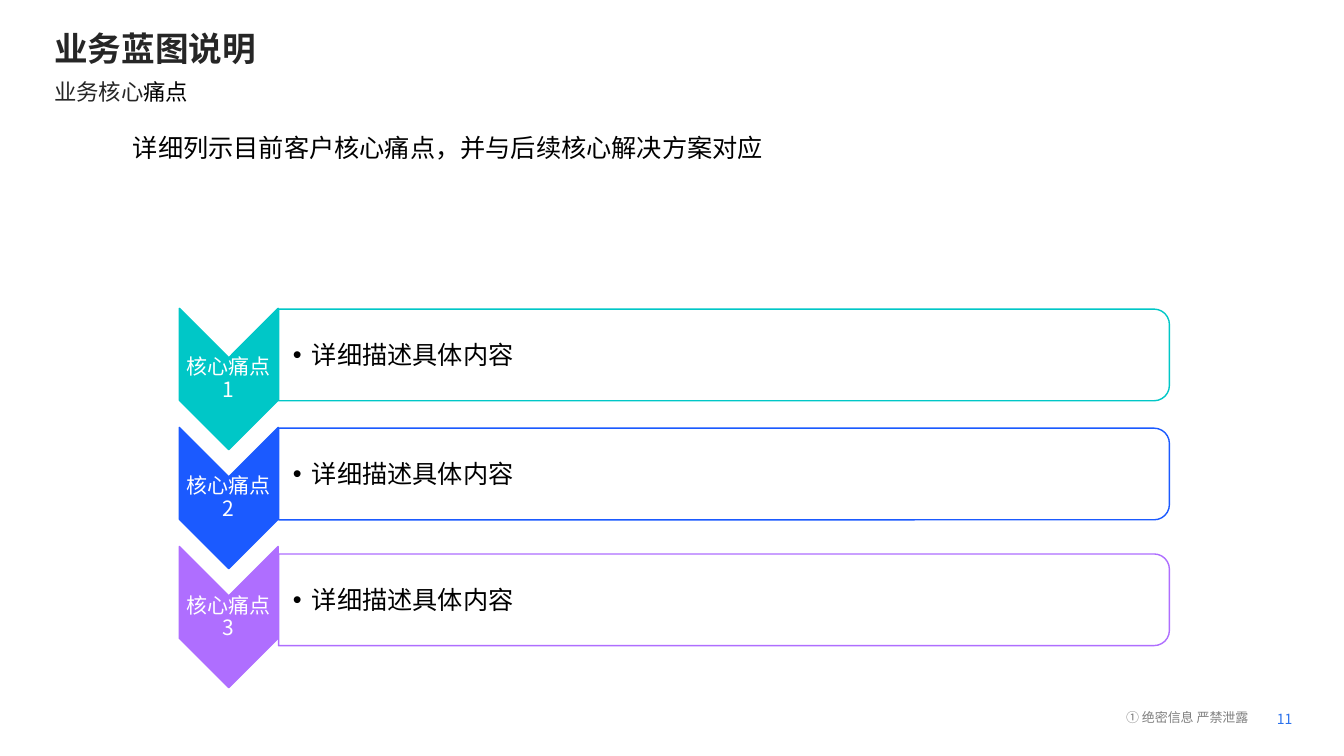
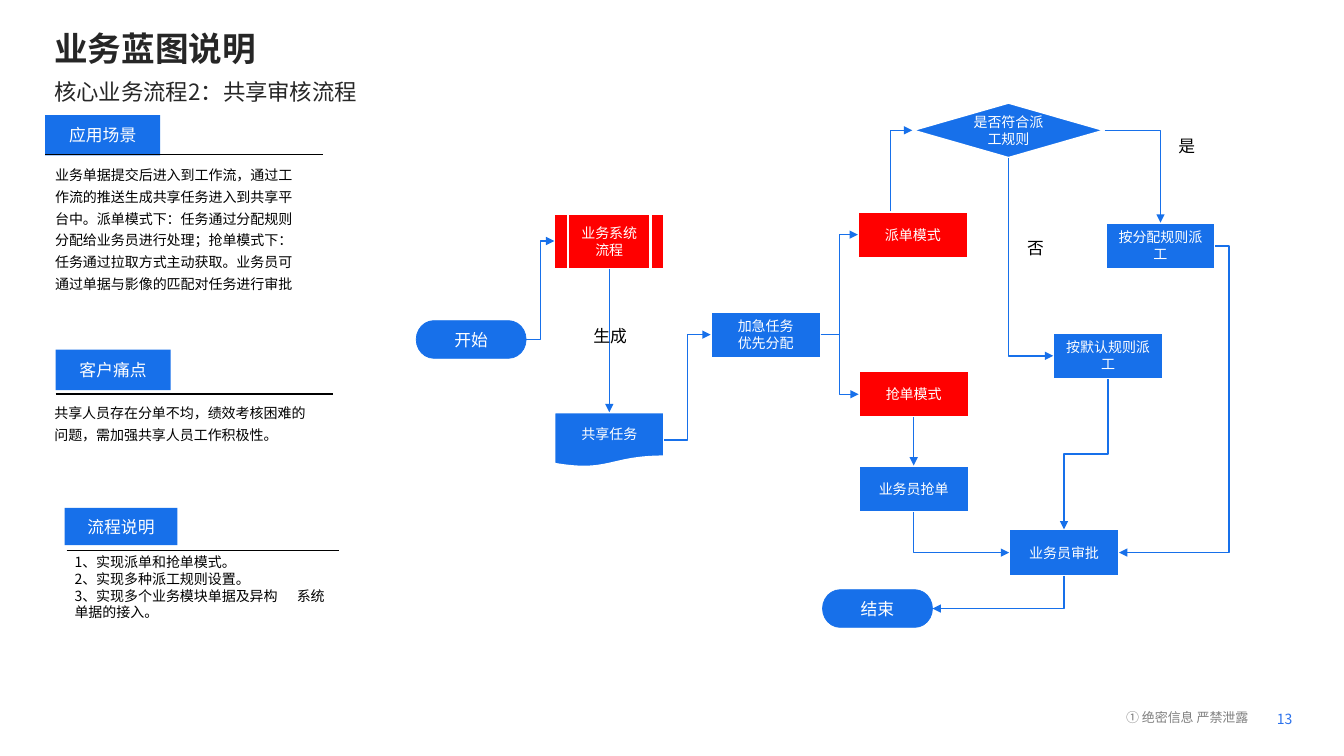
"""Build two business blueprint slides: core pain points and the shared review process."""
import pptx
import pptx.dml.color
import pptx.enum.shapes
import pptx.enum.text
import pptx.oxml
import pptx.oxml.ns
import pptx.util

Cm = pptx.util.Cm
Pt = pptx.util.Pt
qn = pptx.oxml.ns.qn
SHAPE = pptx.enum.shapes.MSO_SHAPE
CONNECTOR = pptx.enum.shapes.MSO_CONNECTOR
ALIGN = pptx.enum.text.PP_ALIGN
ANCHOR = pptx.enum.text.MSO_ANCHOR
TOP, LEFT, BOTTOM, RIGHT = range(4)


class Deck:
    COLORS = {
        "title": "262626", "text": "000000", "white": "FFFFFF",
        "muted": "808080", "page": "2A71EC", "blue": "1770EA",
        "red": "FF0000", "teal": "00C7C7", "royal": "1B5AFF",
        "violet": "AF6EFF",
    }
    FONT = "Noto Sans CJK SC"
    LEADING = 1.2

    def __init__(self):
        self.prs = pptx.Presentation()
        self.prs.slide_width = Cm(33.87)
        self.prs.slide_height = Cm(19.05)
        self.slide = None

    def color(self, name):
        return pptx.dml.color.RGBColor.from_string(self.COLORS[name])

    def new_slide(self, title, subtitle, page, accent=""):
        self.slide = self.prs.slides.add_slide(self.prs.slide_layouts[6])
        self.text((32.18, 17.91, 0.58, 0.43), page, 10, "page",
                  inset=(0, 0), anchor=ANCHOR.MIDDLE, wrap=False)
        self.text((28.35, 17.83, 3.38, 0.48), "① 绝密信息 严禁泄露", 9.3, "muted",
                  inset=(0.03, 0.03), anchor=ANCHOR.MIDDLE, wrap=False)
        self.text((1.12, 0.58, 26.92, 1.3), title, 24, "title", bold=True)
        self.text((1.12, 1.91, 21.64, 0.79), subtitle, 16, "title",
                  spacing=0.9, accent=accent)

    def set_text(self, frame, text, size, color, bold=None, align=ALIGN.LEFT,
                 anchor=ANCHOR.TOP, spacing=1, inset=(0.25, 0.13), wrap=True,
                 accent="", latin=FONT, bullet=False, tab=None):
        across, down = (Cm(value) for value in inset)
        layout = {
            "word_wrap": wrap, "vertical_anchor": anchor,
            "margin_left": across, "margin_right": across,
            "margin_top": down, "margin_bottom": down,
        }
        for name, value in layout.items():
            setattr(frame, name, value)
        for index, line in enumerate(text.split("\n")):
            paragraph = frame.add_paragraph() if index else frame.paragraphs[0]
            if bullet:
                self.add_bullet(paragraph)
            if tab:
                self.add_tab(paragraph, tab)
            paragraph.alignment = align
            paragraph.line_spacing = Pt(round(size * self.LEADING * spacing, 1))
            for words, ink in ((line, color), (accent, "text")):
                if words:
                    run = paragraph.add_run()
                    run.text = words
                    self.style(run, size, ink, bold, latin)

    def style(self, run, size, color, bold, latin):
        for name, value in {"size": Pt(size), "bold": bold, "name": latin}.items():
            setattr(run.font, name, value)
        run.font.color.rgb = self.color(color)
        east_asian = pptx.oxml.parse_xml(
            f'<a:ea {pptx.oxml.ns.nsdecls("a")} typeface="{self.FONT}"/>')
        run._r.get_or_add_rPr().find(qn("a:latin")).addnext(east_asian)

    def add_bullet(self, paragraph):
        properties = paragraph._p.get_or_add_pPr()
        properties.set("marL", str(Cm(0.48)))
        properties.set("indent", str(-Cm(0.48)))
        ns = pptx.oxml.ns.nsdecls("a")
        for xml in (f'<a:buFont {ns} typeface="Arial"/>', f'<a:buChar {ns} char="•"/>'):
            properties.append(pptx.oxml.parse_xml(xml))

    def add_tab(self, paragraph, position):
        ns = pptx.oxml.ns.nsdecls("a")
        paragraph._p.get_or_add_pPr().append(pptx.oxml.parse_xml(
            f'<a:tabLst {ns}><a:tab pos="{Cm(position)}" algn="l"/></a:tabLst>'))

    def text(self, box, text, size, color="text", **options):
        area = self.slide.shapes.add_textbox(*(Cm(value) for value in box))
        self.set_text(area.text_frame, text, size, color, **options)

    def shape(self, kind, box, fill, line=None, width=1, text="", size=10):
        shape = self.slide.shapes.add_shape(kind, *(Cm(value) for value in box))
        shape.shadow.inherit = False
        shape.fill.solid()
        shape.fill.fore_color.rgb = self.color(fill)
        if line:
            shape.line.color.rgb = self.color(line)
            shape.line.width = Pt(width)
        else:
            shape.line.fill.background()
        if text:
            self.set_text(shape.text_frame, text, size, "white",
                          align=ALIGN.CENTER, anchor=ANCHOR.MIDDLE)
        return shape

    def quarter_turn(self, kind, box, fill, line):
        left, top, width, height = box
        shift = (width - height) / 2
        shape = self.shape(kind, (left + shift, top - shift, height, width), fill, line)
        shape.rotation = 90

    def node(self, text, left, top, fill="blue", kind=SHAPE.FLOWCHART_PROCESS,
             width=2.77, height=1.17):
        return self.shape(kind, (left, top, width, height), fill, "white", 1.5, text)

    def terminator(self, text, left, top):
        return self.shape(SHAPE.FLOWCHART_TERMINATOR, (left, top, 2.77, 0.95),
                          "blue", "blue", 0.5, text, 12)

    def connector(self, kind, begin, end, color="blue", arrow=True):
        line = self.slide.shapes.add_connector(
            kind, *(int(value) for value in (*begin, *end)))
        line.line.color.rgb = self.color(color)
        line.line.width = Pt(1)
        ns = pptx.oxml.ns.nsdecls("a")
        properties = line._element.spPr
        if arrow:
            properties.find(qn("a:ln")).append(
                pptx.oxml.parse_xml(f'<a:tailEnd {ns} type="triangle"/>'))
        properties.append(pptx.oxml.parse_xml(f"<a:effectLst {ns}/>"))
        return line

    def side(self, shape, side):
        across = {LEFT: 0, RIGHT: 1}.get(side, 0.5)
        down = {TOP: 0, BOTTOM: 1}.get(side, 0.5)
        return shape.left + shape.width * across, shape.top + shape.height * down

    def straight(self, source, target):
        line = self.connector(CONNECTOR.STRAIGHT, self.side(source, BOTTOM),
                              self.side(target, TOP))
        line.begin_connect(source, BOTTOM)
        line.end_connect(target, TOP)

    def elbow(self, source, leave, target, enter, shift=0, bend=None):
        x1, y1 = self.side(source, leave)
        x2, y2 = self.side(target, enter)
        x1 += Cm(shift)
        begin, end = (x1, y1), (x2, y2)
        vertical = leave in (TOP, BOTTOM)
        if vertical:
            middle_x, middle_y = (x1 + x2) / 2, (y1 + y2) / 2
            half_x, half_y = (x2 - x1) / 2, (y2 - y1) / 2
            begin = middle_x - half_y, middle_y + half_x
            end = middle_x + half_y, middle_y - half_x
        properties = self.connector(CONNECTOR.ELBOW, begin, end)._element.spPr
        geometry = properties.find(qn("a:prstGeom"))
        if vertical:
            properties.find(qn("a:xfrm")).set("rot", "5400000")
        if vertical != (enter in (TOP, BOTTOM)):
            geometry.set("prst", "bentConnector2")
        if bend is not None:
            guide = pptx.oxml.parse_xml(
                f'<a:gd {pptx.oxml.ns.nsdecls("a")} name="adj1" '
                f'fmla="val {round(bend * 100000)}"/>')
            geometry.find(qn("a:avLst")).append(guide)

    def section(self, heading, box, rule, body, body_box, **options):
        self.shape(SHAPE.RECTANGLE, box, "blue", text=heading, size=12)
        left, top, length = rule
        self.connector(CONNECTOR.STRAIGHT, (Cm(left), Cm(top)),
                       (Cm(left + length), Cm(top)), "text", arrow=False)
        self.text(body_box, body, 10, **options)


def pain_points(deck):
    deck.new_slide("业务蓝图说明", "业务核心", "11", accent="痛点")
    deck.text((3.1, 2.97, 27.36, 1.24),
              "详细列示目前客户核心痛点，并与后续核心解决方案对应", 18, spacing=1.3)
    rows = (("teal", 7.79), ("royal", 10.79), ("violet", 13.96))
    for index, (color, bar_top) in enumerate(rows):
        chevron_top = 7.77 + 3 * index
        deck.quarter_turn(SHAPE.CHEVRON, (4.52, chevron_top, 2.49, 3.56), color, color)
        deck.text((4.52, chevron_top + 1.25, 2.49, 1.07), f"核心痛点{index + 1}", 15,
                  "white", align=ALIGN.CENTER, anchor=ANCHOR.MIDDLE,
                  spacing=0.9, inset=(0.1, 0.03))
        deck.quarter_turn(SHAPE.ROUND_2_SAME_RECTANGLE,
                          (7.02, bar_top, 22.45, 2.31), "white", color)
        deck.text((7.02, bar_top + 0.11, 22.33, 2.08), "详细描述具体内容", 18,
                  anchor=ANCHOR.MIDDLE, inset=(0.36, 0.03), bullet=True)


def review_process(deck):
    deck.new_slide("业务蓝图说明", "核心业务流程2：共享审核流程", "13")
    deck.section(
        "应用场景", (1.14, 2.9, 2.9, 1.02), (1.14, 3.89, 6.99),
        "业务单据提交后进入到工作流，通过工作流的推送生成共享任务进入到共享平台中。"
        "派单模式下：任务通过分配规则分配给业务员进行处理；"
        "抢单模式下：任务通过拉取方式主动获取。业务员可通过单据与影像的匹配对任务进行审批",
        (1.14, 3.94, 6.76, 4.09), spacing=1.3)
    deck.section(
        "客户痛点", (1.4, 8.81, 2.9, 1.02), (1.4, 9.93, 6.99),
        "共享人员存在分单不均，绩效考核困难的问题，需加强共享人员工作积极性。",
        (1.12, 9.93, 6.99, 1.37), spacing=1.3)
    deck.section(
        "流程说明", (1.63, 12.8, 2.84, 0.94), (1.68, 13.87, 6.86),
        "1、实现派单和抢单模式。\n2、实现多种派工规则设置。\n"
        "3、实现多个业务模块单据及异构\t系统单据的接入。",
        (1.63, 13.82, 6.86, 2.39), tab=5.6)

    start = deck.terminator("开始", 10.49, 8.08)
    system = deck.node("业务系统流程", 13.97, 5.38, "red",
                       SHAPE.FLOWCHART_PREDEFINED_PROCESS, height=1.39)
    task = deck.node("共享任务", 13.97, 10.39,
                     kind=SHAPE.FLOWCHART_DOCUMENT, height=1.39)
    urgent = deck.node("加急任务\n优先分配", 17.91, 7.85)
    grab = deck.node("抢单模式", 21.64, 9.35, "red")
    dispatch = deck.node("派单模式", 21.62, 5.33, "red")
    rule = deck.node("是否符合派工规则", 22.99, 2.59,
                     kind=SHAPE.FLOWCHART_DECISION, width=4.85, height=1.39)
    by_default = deck.node("按默认规则派工", 26.54, 8.38)
    by_rule = deck.node("按分配规则派工", 27.86, 5.61)
    approve = deck.node("业务员审批", 25.43, 13.34)
    finish = deck.terminator("结束", 20.73, 14.86)
    clerk = deck.node("业务员抢单", 21.64, 11.73)

    deck.straight(system, task)
    deck.straight(grab, clerk)
    for source, leave, target, enter in (
        (start, RIGHT, system, LEFT),
        (task, RIGHT, urgent, LEFT),
        (urgent, RIGHT, dispatch, LEFT),
        (urgent, RIGHT, grab, LEFT),
        (rule, RIGHT, by_rule, TOP),
        (rule, BOTTOM, by_default, LEFT),
        (by_default, BOTTOM, approve, TOP),
        (approve, BOTTOM, finish, RIGHT),
        (clerk, BOTTOM, approve, LEFT),
    ):
        deck.elbow(source, leave, target, enter)
    deck.elbow(dispatch, TOP, rule, LEFT, shift=-0.57)
    deck.elbow(by_rule, RIGHT, approve, RIGHT, bend=-0.14)

    for answer, left, top in (("生成", 14.22, 8.08), ("否", 24.94, 5.87),
                              ("是", 28.75, 3.28)):
        deck.text((left, top, 2.31, 0.89), answer, 12,
                  align=ALIGN.CENTER, latin="Arial")


def main():
    deck = Deck()
    pain_points(deck)
    review_process(deck)
    deck.prs.save("out.pptx")


if __name__ == "__main__":
    main()
